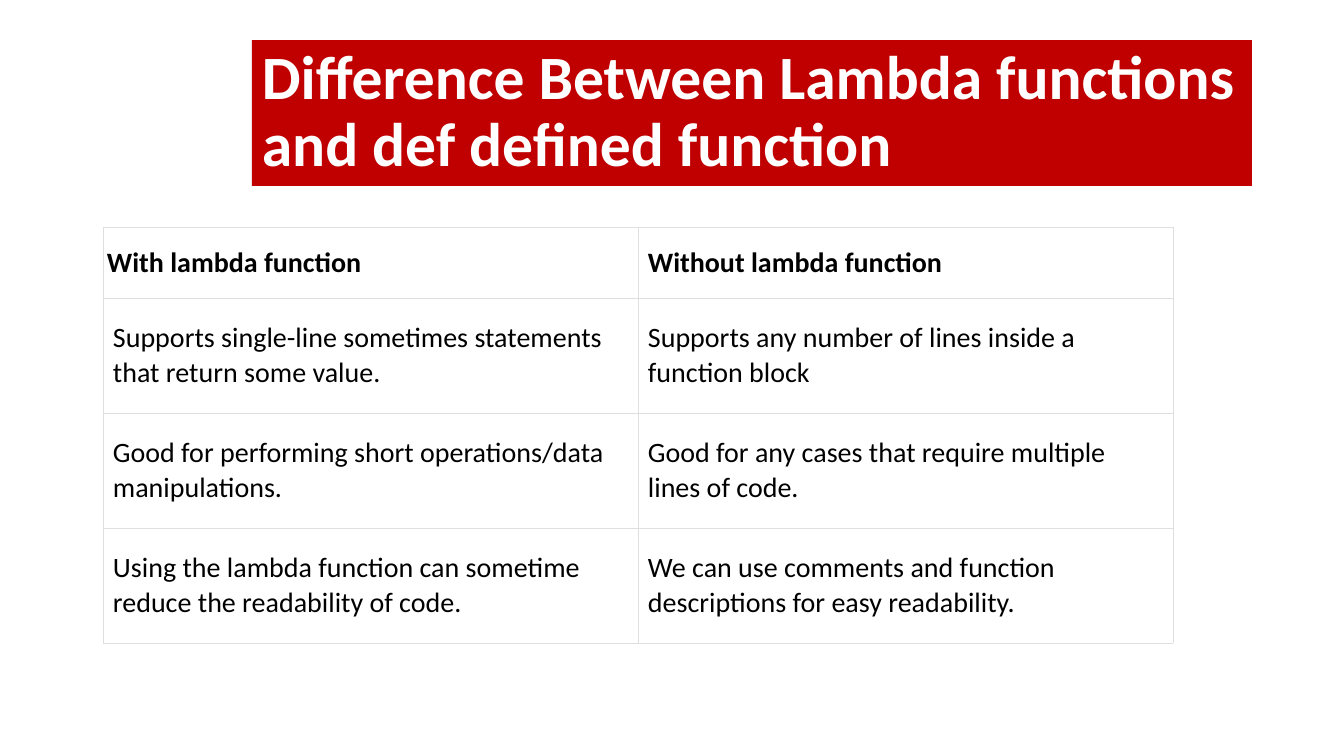
import pptx
import pptx.util
import pptx.dml.color
import pptx.enum.shapes
import pptx.enum.text
import pptx.oxml
import pptx.oxml.ns

TITLE = "Difference Between Lambda functions and def defined function"
ROWS = [
    ("With lambda function", "Without lambda function"),
    ("Supports single-line sometimes statements that return some value.",
     "Supports any number of lines inside a function block"),
    ("Good for performing short operations/data manipulations.",
     "Good for any cases that require multiple lines of code."),
    ("Using the lambda function can sometime reduce the readability of code.",
     "We can use comments and function descriptions for easy readability."),
]
FONT = "Calibri"
RED, WHITE, BLACK, GREY = "C00000", "FFFFFF", "000000", "DFDFDF"
SLIDE = (1344, 756)
BANNER = (252, 40, 1000, 146)
LEFT, TOP, COL = 103, 227, 535
HEAD, BODY = 71, 115
SCALE = 914400 / 100.8
MIDDLE = pptx.enum.text.MSO_ANCHOR.MIDDLE


def px(n):
    return pptx.util.Emu(round(n * SCALE))


def paint(fill, color):
    fill.solid()
    fill.fore_color.rgb = pptx.dml.color.RGBColor.from_string(color)


def write(frame, text, size, color, bold):
    frame.text = text
    frame.word_wrap = True
    para = frame.paragraphs[0]
    para.alignment = pptx.enum.text.PP_ALIGN.LEFT
    font = para.runs[0].font
    font.name, font.size, font.bold = FONT, pptx.util.Pt(size), bold
    paint(font.fill, color)
    return para


def edge(cell):
    """Draw a thin grey line on all four sides; call before the cell is filled."""
    props = cell._tc.get_or_add_tcPr()
    for side in ("lnL", "lnR", "lnT", "lnB"):
        props.append(pptx.oxml.parse_xml(
            f'<a:{side} {pptx.oxml.ns.nsdecls("a")} w="2900"><a:solidFill>'
            f'<a:srgbClr val="{GREY}"/></a:solidFill></a:{side}>'))


def banner(slide):
    box = slide.shapes.add_shape(
        pptx.enum.shapes.MSO_SHAPE.RECTANGLE, *map(px, BANNER))
    box.shadow.inherit = False
    paint(box.fill, RED)
    box.line.fill.background()
    box.text_frame.vertical_anchor = MIDDLE
    write(box.text_frame, TITLE, 44, WHITE, True).line_spacing = 0.9


def grid(slide):
    tall = [HEAD] + [BODY] * (len(ROWS) - 1)
    wide = [COL] * len(ROWS[0])
    table = slide.shapes.add_table(
        len(tall), len(wide), px(LEFT), px(TOP), px(sum(wide)), px(sum(tall))).table
    table.horz_banding = False
    for col, width in zip(table.columns, wide):
        col.width = px(width)
    for r, texts in enumerate(ROWS):
        table.rows[r].height = px(tall[r])
        for c, text in enumerate(texts):
            cell = table.cell(r, c)
            edge(cell)
            paint(cell.fill, WHITE)
            cell.vertical_anchor = MIDDLE
            cell.margin_left = cell.margin_right = px(4 if r == c == 0 else 10)
            cell.margin_top = cell.margin_bottom = px(10 if r == 0 else 15)
            write(cell.text_frame, text, 20, BLACK, r == 0)


def main():
    deck = pptx.Presentation()
    deck.slide_width, deck.slide_height = map(px, SLIDE)
    slide = deck.slides.add_slide(deck.slide_layouts[6])
    banner(slide)
    grid(slide)
    deck.save("out.pptx")


if __name__ == "__main__":
    main()
